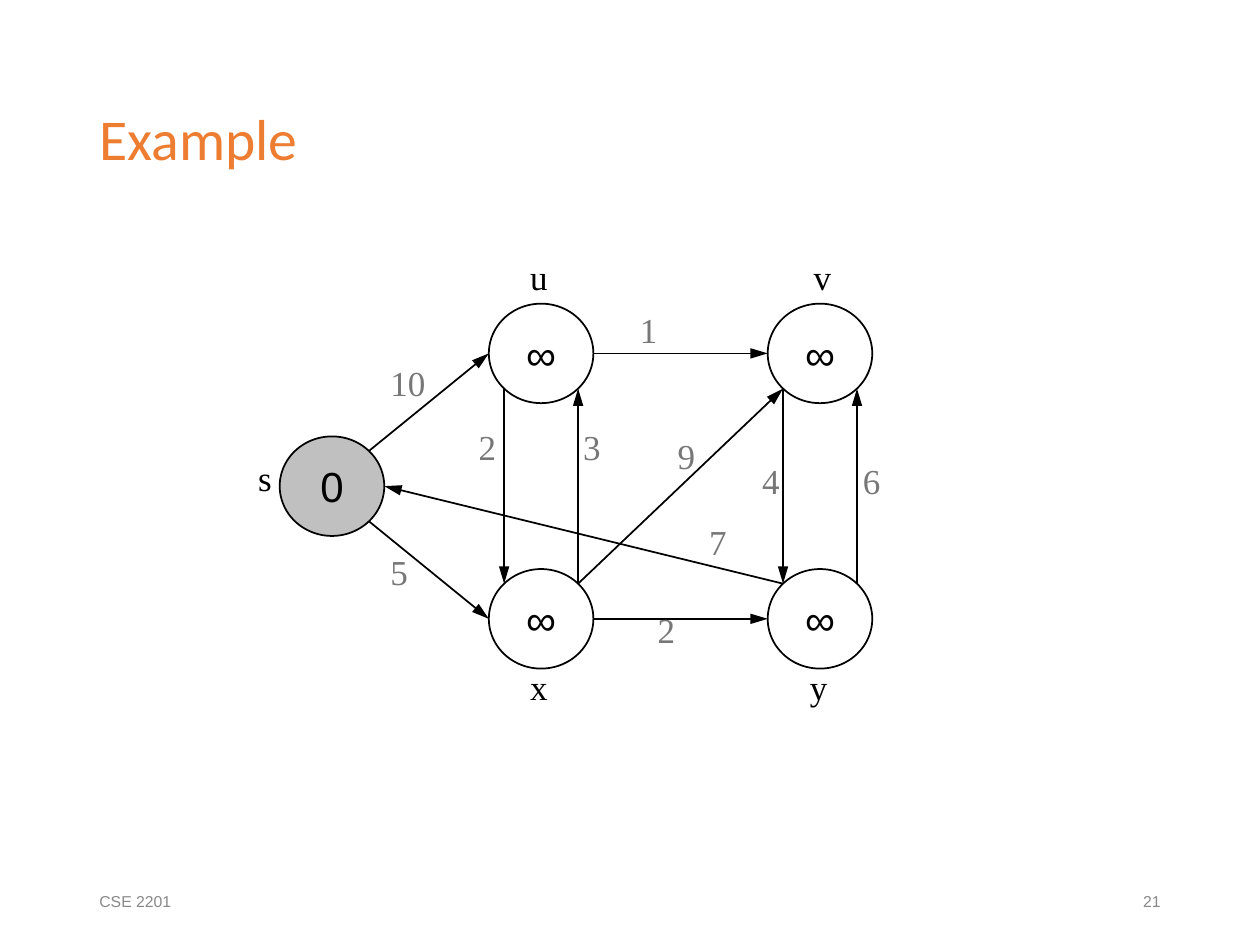
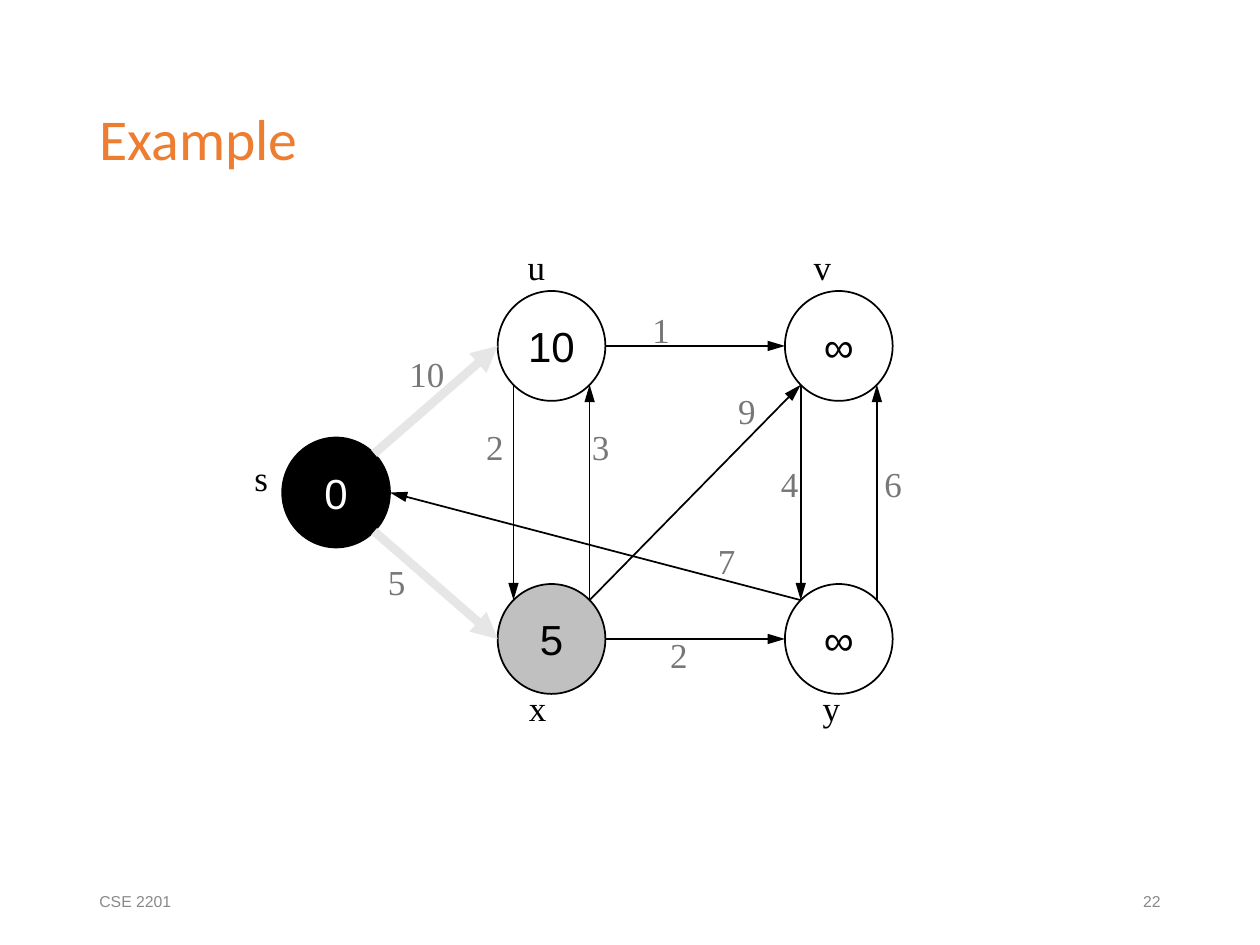
from math import cos, radians, sin

from lxml import etree
from pptx import Presentation
from pptx.dml.color import RGBColor
from pptx.enum.shapes import MSO_CONNECTOR as Line, MSO_SHAPE as Shape
from pptx.enum.text import MSO_ANCHOR as Anchor, MSO_AUTO_SIZE as Fit, PP_ALIGN as Align
from pptx.oxml.ns import qn
from pptx.util import Inches, Pt

# Shared colours
BLACK, WHITE, GREY = "000000", "FFFFFF", "C0C0C0"
ACCENT, FOOTER, WEIGHT, RELAXED = "ED7D31", "898989", "777777", "E7E6E6"

prs = Presentation()
prs.slide_width, prs.slide_height = Inches(10), Inches(7.5)
CELL = prs.slide_width / 100  # the slide is a grid of 100 columns by 75 rows


def color(hex_code):
    return RGBColor.from_string(hex_code)


def write(holder, words, size, face, ink, align=Align.LEFT, anchor=Anchor.MIDDLE, wrap=True):
    frame = holder.text_frame
    frame.word_wrap, frame.vertical_anchor, frame.auto_size = wrap, anchor, Fit.NONE
    paragraph = frame.paragraphs[0]
    paragraph.alignment = align
    run = paragraph.add_run()
    run.text = words
    run.font.size, run.font.name = Pt(size), face
    run.font.color.rgb = color(ink)
    return paragraph


# Vertices: left in node widths and top in node heights from the graph's corner
VERTICES = {"u": (2, 0), "v": (14 / 3, 0), "x": (2, 8 / 3), "y": (14 / 3, 8 / 3), "s": (0, 4 / 3)}

# Edges: start, angle on its rim, end, angle on its rim (clockwise from the right)
EDGES = [
    ("u", 135, "x", 225), ("x", 315, "u", 45), ("u", 0, "v", 180), ("x", 315, "v", 135),
    ("v", 135, "y", 225), ("y", 315, "v", 45), ("x", 0, "y", 180), ("y", 225, "s", 0),
    ("s", 45, "x", 180), ("s", 315, "u", 180),
]
WEIGHTS = {"su": "10", "sx": "5", "uv": "1", "ux": "2", "xu": "3",
           "xv": "9", "vy": "4", "yv": "6", "ys": "7", "xy": "2"}
WIDE_LABELS = ("su", "sx", "uv")

# Steps of the search: distances, fills, relaxed edges and label places in cells
STEPS = [
    dict(
        number="21", corner=(22.2, 24.1), node=(8.3, 7.9),
        distances=dict(s="0", u="∞", v="∞", x="∞", y="∞"),
        fills=dict(s=GREY), relaxed=(),
        labels=dict(
            s=(19.5, 35.7), u=(41.1, 19.8), v=(63.6, 19.8), x=(41.1, 52.3), y=(63.3, 52.3),
            su=(30, 28.2), sx=(30, 43.2), uv=(49.8, 24), ux=(37, 33.3), xu=(45.3, 33.3),
            xv=(52.8, 34), vy=(59.5, 36), yv=(67.5, 36), ys=(55.3, 40.8), xy=(51.2, 47.8)),
    ),
    dict(
        number="22", corner=(22.4, 23.1), node=(8.55, 8.72),
        distances=dict(s="0", u="10", v="∞", x="5", y="∞"),
        fills=dict(s=BLACK, x=GREY), relaxed=("su", "sx"),
        labels=dict(
            s=(19.2, 35.7), u=(40.9, 19), v=(63.6, 19), x=(41, 54), y=(64.3, 54),
            su=(31.5, 27.5), sx=(29.8, 44), uv=(50.8, 24), ux=(37.6, 33.3), xu=(46, 33.3),
            xv=(57.6, 30.4), vy=(61, 36.2), yv=(69.2, 36.2), ys=(56, 42.3), xy=(52.2, 49.8)),
    ),
]

for step in STEPS:
    slide = prs.slides.add_slide(prs.slide_layouts[5])

    # Title
    title = slide.shapes.title
    title.left, title.top, title.width, title.height = (
        int(cells * CELL) for cells in (6.9, 4, 86.3, 14.5))
    write(title, "Example", 33, "Calibri", ACCENT).line_spacing = 0.9

    # Footer
    for left, words, align in ((6.9, "CSE 2201", Align.LEFT), (70.6, step["number"], Align.RIGHT)):
        footer = slide.shapes.add_textbox(*(int(n * CELL) for n in (left, 69.5, 22.5, 4)))
        write(footer, words, 9, "Arial", FOOTER, align)

    # Vertices with their distances
    wide, high = step["node"]
    centres = {}
    for name, (across, down) in VERTICES.items():
        left, top = step["corner"][0] + across * wide, step["corner"][1] + down * high
        centres[name] = left + wide / 2, top + high / 2
        vertex = slide.shapes.add_shape(Shape.OVAL, *(int(n * CELL) for n in (left, top, wide, high)))
        vertex.shadow.inherit = False
        fill = step["fills"].get(name)
        if fill:
            vertex.fill.solid()
            vertex.fill.fore_color.rgb = color(fill)
        else:
            vertex.fill.background()
        vertex.line.color.rgb, vertex.line.width = color(BLACK), Pt(1)
        write(vertex, step["distances"][name], 24, "Arial",
              WHITE if fill == BLACK else BLACK, Align.CENTER, wrap=False)

    # Edges from rim to rim
    for start, start_angle, end, end_angle in EDGES:
        ends = []
        for name, angle in ((start, start_angle), (end, end_angle)):
            x, y = centres[name]
            ends += [x + wide / 2 * cos(radians(angle)), y + high / 2 * sin(radians(angle))]
        edge = slide.shapes.add_connector(Line.STRAIGHT, *(int(n * CELL) for n in ends))
        relaxed = start + end in step["relaxed"]
        edge.line.color.rgb = color(RELAXED if relaxed else BLACK)
        edge.line.width = Pt(5 if relaxed else 1)
        etree.SubElement(edge.line._get_or_add_ln(), qn("a:tailEnd"), type="triangle",
                         w="med", len="med" if relaxed else "lg")
        etree.SubElement(edge._element.spPr, qn("a:effectLst"))

    # Vertex names and edge weights
    for name, (left, top) in step["labels"].items():
        width = wide if name in WIDE_LABELS else wide * 2 / 3
        label = slide.shapes.add_textbox(*(int(n * CELL) for n in (left, top, width, 4.4)))
        write(label, WEIGHTS.get(name, name), 20, "Times New Roman",
              WEIGHT if name in WEIGHTS else BLACK, anchor=Anchor.TOP)

prs.save("out.pptx")
